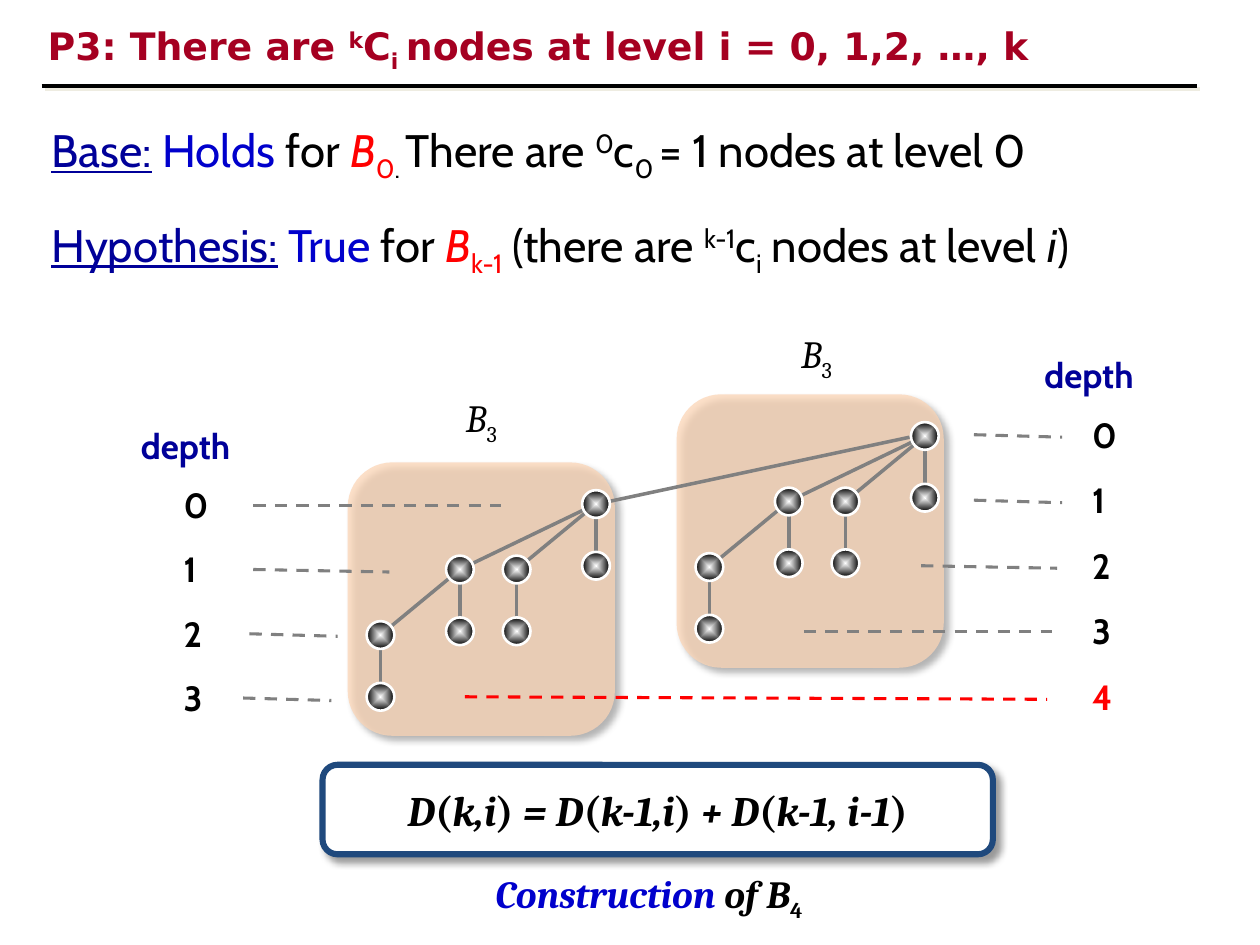
from dataclasses import dataclass

from lxml import etree
from pptx import Presentation
from pptx.dml.color import RGBColor
from pptx.enum.dml import MSO_LINE_DASH_STYLE as Dash
from pptx.enum.shapes import MSO_CONNECTOR as Connector, MSO_SHAPE as Shape
from pptx.enum.text import MSO_ANCHOR as Anchor, PP_ALIGN as Align
from pptx.oxml.ns import qn
from pptx.util import Inches, Pt


@dataclass(frozen=True)
class Theme:
    title: str = "A50021"
    navy: str = "000099"
    blue: str = "0000CC"
    red: str = "FF0000"
    black: str = "000000"
    white: str = "FFFFFF"
    gray: str = "808080"
    peach: str = "FCD5B5"
    frame: str = "1F497D"
    cream: str = "EEECE1"
    head_font: str = "DejaVu Sans"
    body_font: str = "Cabin"
    math_font: str = "Cambria"
    title_size: float = 21.6
    body_size: float = 26
    formula_size: float = 24
    math_size: float = 22
    depth_size: float = 20


@dataclass(frozen=True)
class Box:
    x: float
    y: float
    w: float
    h: float

    def lengths(self):
        return [Inches(v) for v in (self.x, self.y, self.w, self.h)]


T = Theme()
SUB, SUP, BASE = {"base": -25}, {"base": 30}, {"base": 0}
ITALIC, UPRIGHT = {"italic": True}, {"italic": False}
NODE = 0.22
# Parent of each node by index, and the node centre measured from the tree's box.
NODES = [(None, 1.97, 0.33), (0, 1.97, 0.82), (0, 1.34, 0.85), (2, 1.34, 1.34),
         (0, 0.89, 0.85), (4, 0.89, 1.34), (4, 0.26, 1.37), (6, 0.26, 1.86)]


def rgb(color):
    return RGBColor.from_string(color)


def add_shadow(props, color, alpha, blur, dist):
    effects = etree.SubElement(props, qn("a:effectLst"))
    shadow = etree.SubElement(effects, qn("a:outerShdw"), blurRad=str(Pt(blur)),
                              dist=str(Pt(dist)), dir="2700000", algn="tl", rotWithShape="0")
    clr = etree.SubElement(shadow, qn("a:srgbClr"), val=color)
    etree.SubElement(clr, qn("a:alpha"), val=str(alpha * 1000))
    return effects


def add_runs(p, runs, **style):
    """Add (text, changes) runs; each run keeps the style of the run before it."""
    for text, changes in runs:
        style = {**style, **changes}
        r = p.add_run()
        r.text = text
        f = r.font
        f.name, f.size = style["font"], Pt(style["size"])
        f.color.rgb = rgb(style["color"])
        f.bold, f.italic = style.get("bold", False), style.get("italic", False)
        f.underline = style.get("underline", False)
        if style.get("base"):
            f._element.set("baseline", str(style["base"] * 1000))


def text_box(s, box, runs, align=Align.LEFT, **style):
    tf = s.shapes.add_textbox(*box.lengths()).text_frame
    tf.word_wrap = True
    p = tf.paragraphs[0]
    p.alignment = align
    add_runs(p, runs, **style)
    return p


def add_line(s, start, end, color, width, dash=None):
    c = s.shapes.add_connector(Connector.STRAIGHT, *[Inches(v) for v in (*start, *end)])
    c.line.color.rgb, c.line.width = rgb(color), Pt(width)
    if dash:
        c.line.dash_style = dash
    etree.SubElement(c._element.spPr, qn("a:effectLst"))
    return c


def rounded_panel(s, box, fill):
    sp = s.shapes.add_shape(Shape.ROUNDED_RECTANGLE, *box.lengths())
    sp.fill.solid()
    sp.fill.fore_color.rgb = rgb(fill)
    sp.line.fill.background()
    add_shadow(sp._element.spPr, T.black, 40, 4, 4)
    return sp


def heading(s, box):
    p = text_box(s, box, [("P3: There are ", {}), ("k", SUP), ("C", BASE), ("i ", SUB),
                          ("nodes at level i = 0, 1,2, …, k", BASE)],
                 font=T.head_font, size=T.title_size, color=T.title, bold=True)
    for r in p.runs:
        props = r.font._element
        effects = add_shadow(props, T.cream, 100, 0, 2.8)
        props.find(qn("a:solidFill")).addnext(effects)
    rule_y = box.y + 0.55
    rule = add_line(s, (box.x + 0.05, rule_y), (9.5, rule_y), T.black, 2.25)
    props = rule._element.spPr
    props.remove(props.find(qn("a:effectLst")))
    add_shadow(props, T.cream, 100, 0, 2.8)


def statement(s, box, label, claim, index, rest):
    runs = [(label, {"underline": True}), (" ", {"underline": False}),
            (claim, {"color": T.blue}), (" for ", {"color": T.black}),
            ("B", {"color": T.red, **ITALIC}), (index, {**UPRIGHT, **SUB})]
    text_box(s, box, runs + rest, font=T.body_font, size=T.body_size, color=T.navy)


def tree_panel(s, box):
    panel = rounded_panel(s, box, T.peach)
    clr = panel._element.spPr.find(qn("a:solidFill"))[0]
    etree.SubElement(clr, qn("a:alpha"), val="73000")


def node(s, x, y):
    box = Box(x - NODE / 2, y - NODE / 2, NODE, NODE)
    sp = s.shapes.add_shape(Shape.OVAL, *box.lengths())
    sp.shadow.inherit = False
    sp.fill.gradient()
    for stop, color in zip(sp.fill.gradient_stops, (T.white, T.black)):
        stop.color.rgb = rgb(color)
    grad = sp._element.spPr.find(qn("a:gradFill"))
    grad.remove(grad.find(qn("a:lin")))
    centre = etree.SubElement(grad, qn("a:path"), path="shape")
    etree.SubElement(centre, qn("a:fillToRect"), l="50000", t="50000", r="50000", b="50000")
    sp.line.color.rgb, sp.line.width = rgb(T.white), Pt(1.5)


def binomial_tree(s, box):
    points = [(box.x + x, box.y + y) for _, x, y in NODES]
    for (parent, _, _), point in zip(NODES, points):
        if parent is not None:
            add_line(s, points[parent], point, T.gray, 2)
    for point in points:
        node(s, *point)


def tree_name(s, box):
    text_box(s, box, [("B", ITALIC), ("3", {**UPRIGHT, **SUB})],
             font=T.math_font, size=T.math_size, color=T.black)


def depth_scale(s, box, title_x, step, dashes):
    """Number the levels downwards; each dash is (start x, end x, fall, label colour)."""
    style = {"font": T.body_font, "size": T.depth_size, "bold": True}
    text_box(s, Box(title_x, box.y - 0.47, 1.07, box.h), [("depth", {})], color=T.navy, **style)
    for level, (x1, x2, fall, color) in enumerate(dashes):
        y = box.y + level * step
        text_box(s, Box(box.x, y, box.w, box.h), [(str(level), {})], color=color, **style)
        line_color = T.gray if color == T.black else color
        add_line(s, (x1, y + 0.22), (x2, y + 0.22 + fall), line_color, 1.75, Dash.DASH)


def formula(s, box):
    sp = rounded_panel(s, box, T.white)
    sp.line.color.rgb, sp.line.width = rgb(T.frame), Pt(3.5)
    tf = sp.text_frame
    tf.word_wrap, tf.vertical_anchor = False, Anchor.MIDDLE
    p = tf.paragraphs[0]
    p.alignment = Align.CENTER
    parts = ["D", "(", "k,i", ")", " = D", "(", "k-1,i", ")", " + D", "(", "k-1, i-1", ")"]
    add_runs(p, [(part, {"italic": part not in "()"}) for part in parts],
             font=T.math_font, size=T.formula_size, color=T.black, bold=True)


def main():
    prs = Presentation()
    prs.slide_width, prs.slide_height = Inches(10), Inches(7.5)
    s = prs.slides.add_slide(prs.slide_layouts[6])
    left, right = Box(2.76, 3.67, 2.12, 2.17), Box(5.37, 3.13, 2.12, 2.17)

    tree_panel(s, right)
    tree_panel(s, left)
    heading(s, Box(0.28, 0.13, 8.5, 0.67))
    statement(s, Box(0.31, 0.92, 9.18, 0.54), "Base:", "Holds", "0",
              [(". ", {"color": T.black}), ("There are ", BASE), ("0", SUP), ("c", BASE),
               ("0 ", SUB), ("= 1 nodes at level 0", BASE)])
    statement(s, Box(0.31, 1.67, 9.18, 0.54), "Hypothesis:", "True", "k-1",
              [(" (there are ", {"color": T.black, **BASE}), ("k-1", SUP), ("c", BASE),
               ("i", SUB), (" nodes at level ", BASE), ("i", ITALIC), (")", UPRIGHT)])

    add_line(s, (4.74, 4), (7.22, 3.47), T.gray, 2)
    for box in (left, right):
        binomial_tree(s, box)
    tree_name(s, Box(3.6, 3.08, 0.57, 0.47))
    tree_name(s, Box(6.26, 2.57, 0.57, 0.47))

    depth_scale(s, Box(1.36, 3.79, 0.57, 0.44), 1.02, 0.51,
                [(2.01, 3.98, 0, T.black), (2.01, 3.09, 0.02, T.black),
                 (1.98, 2.68, 0.02, T.black), (1.93, 2.63, 0.02, T.black)])
    depth_scale(s, Box(8.57, 3.23, 0.57, 0.44), 8.19, 0.52,
                [(7.73, 8.43, 0.02, T.black), (7.73, 8.43, 0.02, T.black),
                 (7.31, 8.39, 0.02, T.black), (6.38, 8.35, 0, T.black),
                 (3.69, 8.31, 0.02, T.red)])

    formula(s, Box(2.56, 6.07, 5.32, 0.71))
    text_box(s, Box(2.72, 6.86, 4.86, 0.47),
             [("Construction", {}), (" of B", {"color": T.black}), ("4", {**UPRIGHT, **SUB})],
             Align.CENTER, font=T.math_font, size=T.math_size, color=T.blue,
             bold=True, italic=True)
    prs.save("out.pptx")


if __name__ == "__main__":
    main()
